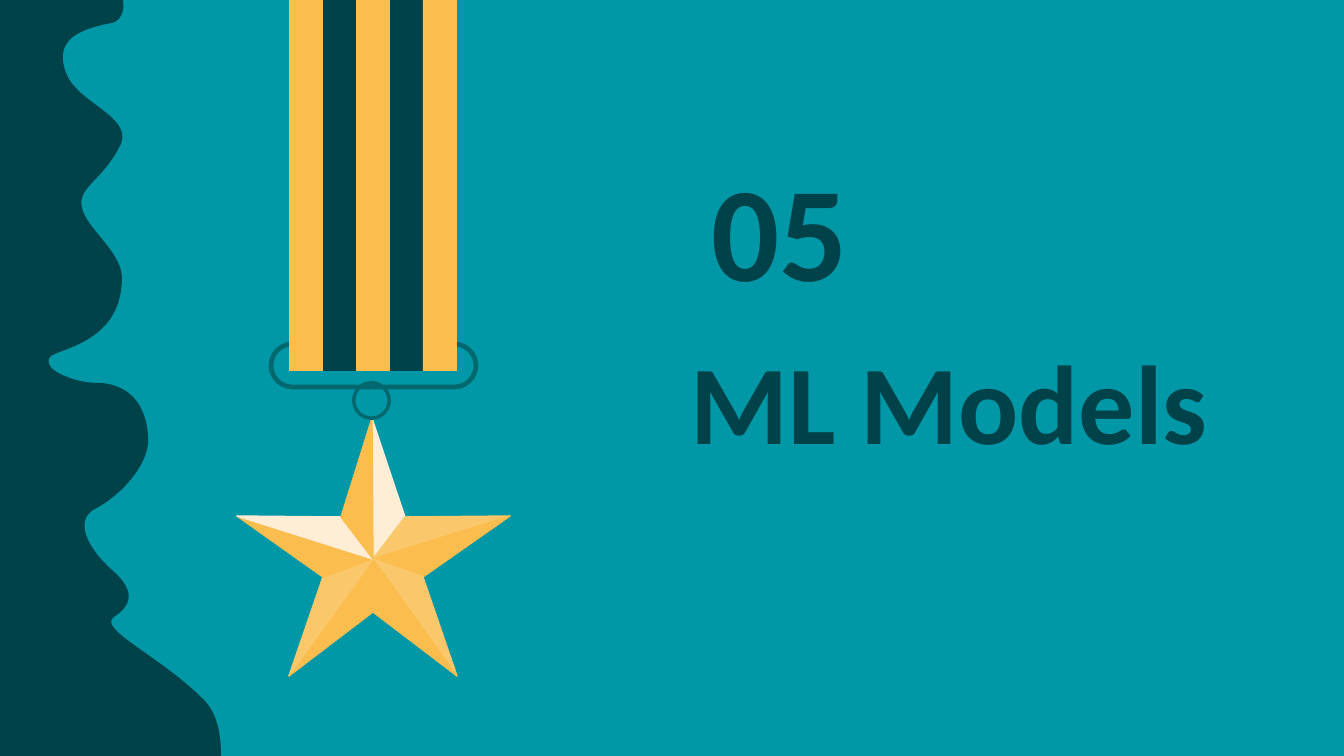
from pptx import Presentation
from pptx.dml.color import RGBColor
from pptx.enum.shapes import MSO_SHAPE as SHAPE
from pptx.enum.text import MSO_ANCHOR as ANCHOR
from pptx.util import Pt

PX = 9144000 / 1344  # EMU per px
TEAL, DARK, RING = "0097A7", "004249", "01686D"
GOLD, LIGHT, CREAM = "FABD4E", "FAC86A", "FFEDD6"


def emu(*px):
    return [round(v * PX) for v in px]


def paint(shape, fill=None, line=None, width=0.75):
    shape.shadow.inherit = False
    for part, color in ((shape.fill, fill), (shape.line.fill, line)):
        if color:
            part.solid()
            part.fore_color.rgb = RGBColor.from_string(color)
        else:
            part.background()
    if line:
        shape.line.width = Pt(width)


prs = Presentation()
prs.slide_width, prs.slide_height = emu(1344, 756)
s = prs.slides.add_slide(prs.slide_layouts[6])
s.background.fill.solid()
s.background.fill.fore_color.rgb = RGBColor.from_string(TEAL)

# Wavy left edge: Bezier segments from bottom to top, two controls and an end
waves = [
    ((221, 728), (215, 711), (203, 699)),
    ((160, 656), (97, 629), (114, 617)),
    ((132, 605), (136, 591), (112, 570)),
    ((87, 548), (74, 520), (95, 509)),
    ((118, 497), (145, 470), (148, 444)),
    ((149, 421), (141, 396), (118, 387)),
    ((113, 385), (106, 383), (99, 383)),
    ((85, 383), (74, 380), (65, 376)),
    ((51, 371), (46, 363), (50, 357)),
    ((56, 349), (120, 344), (122, 281)),
    ((124, 253), (87, 230), (82, 208)),
    ((77, 187), (103, 181), (121, 144)),
    ((132, 116), (77, 103), (66, 73)),
    ((55, 43), (73, 30), (112, 23)),
    ((120, 21), (125, 12), (123, 0)),
]
STEPS = 16
edge = [(221, 756)]
for b, c, d in waves:
    a = edge[-1]
    for i in range(1, STEPS + 1):
        t = i / STEPS
        u = 1 - t
        edge.append(tuple(
            u**3 * a[k] + 3 * u * u * t * b[k] + 3 * u * t * t * c[k] + t**3 * d[k]
            for k in (0, 1)
        ))
fb = s.shapes.build_freeform(*emu(0, 756))
fb.add_line_segments([emu(*pt) for pt in edge + [(0, 0)]])
paint(fb.convert_to_shape(), DARK)

# Titles
titles = [("ML Models", 60, (677, 356, 616, 124)), ("05", 72, (698, 198, 645, 124))]
for text, size, box in titles:
    tf = s.shapes.add_textbox(*emu(*box)).text_frame
    tf.word_wrap = True
    tf.vertical_anchor = ANCHOR.BOTTOM
    tf.margin_left = tf.margin_right = tf.margin_top = tf.margin_bottom = Pt(7.2)
    tf.text = text
    font = tf.paragraphs[0].runs[0].font
    font.name, font.size, font.bold = "Calibri", Pt(size), True
    font.color.rgb = RGBColor.from_string(DARK)

# Star: one triangle from the centre to each stretch of the outline
center = (373, 559)
outline = [(372, 418), (405, 517), (510, 516), (423, 577), (457, 676),
           (373, 612), (289, 676), (323, 577), (237, 516), (341, 517)]
facets = [CREAM, LIGHT, GOLD, LIGHT, GOLD, GOLD, LIGHT, GOLD, CREAM, GOLD]
for start, end, color in zip(outline, outline[1:] + outline[:1], facets):
    fb = s.shapes.build_freeform(*emu(*center))
    fb.add_line_segments([emu(*start), emu(*end)])
    paint(fb.convert_to_shape(), color, color)

# Ring and clasp
ring = s.shapes.add_shape(SHAPE.DONUT, *emu(352, 381, 39, 39))
ring.adjustments[0] = 0.09
paint(ring, RING)
clasp = s.shapes.add_shape(SHAPE.ROUNDED_RECTANGLE, *emu(271, 344, 205, 43))
clasp.adjustments[0] = 0.5
paint(clasp, None, RING, 2.5)

# Ribbon with its stripes
ribbon = s.shapes.add_shape(SHAPE.RECTANGLE, *emu(289, -94, 168, 465))
paint(ribbon, DARK)
for i in range(3):
    stripe = s.shapes.add_shape(SHAPE.RECTANGLE, *emu(289 + 67 * i, -94, 34, 465))
    paint(stripe, GOLD)

prs.save("out.pptx")
